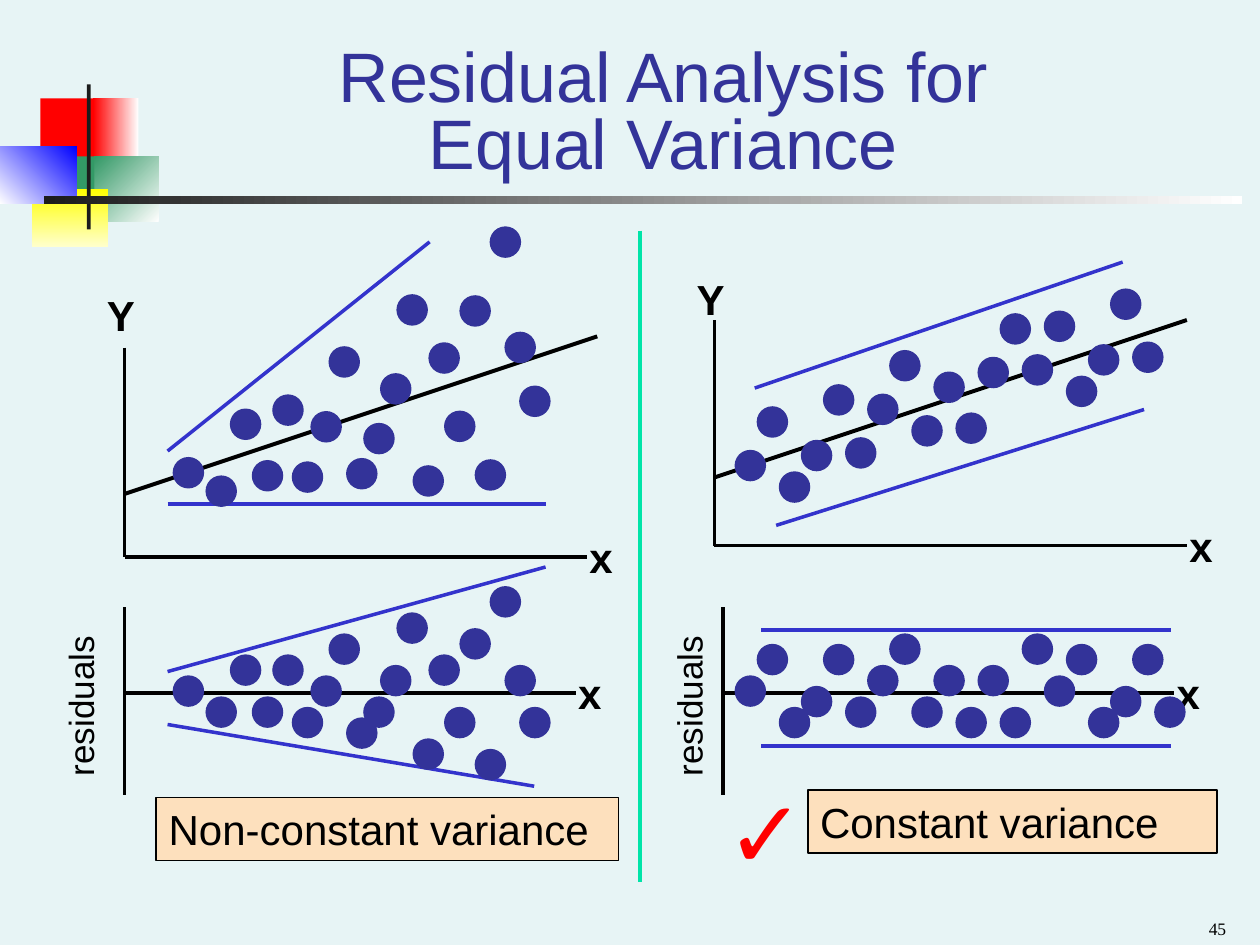
from dataclasses import dataclass

from lxml import etree
from pptx import Presentation
from pptx.dml.color import RGBColor
from pptx.enum import shapes, text
from pptx.oxml.ns import qn
from pptx.util import Inches, Pt

COLORS = {
    "background": "E7F4F5", "black": "000000", "white": "FFFFFF", "ink": "1C1C1C",
    "dot": "333399", "band": "3333CC", "divider": "00E4A8", "caption": "FDE0BD",
    "red": "FF0000", "green": "339966", "yellow": "FFFF00", "cream": "FFFFCC",
    "blue": "0000FF",
}
DOT = 0.25
UNIT = 1 / 12
SLOPE = 1 / 3
RESIDUAL_AXIS = 5.5


@dataclass(frozen=True)
class Block:
    box: tuple[float, float, float, float]
    color: str
    end: str = ""
    angle: int = 0


@dataclass(frozen=True)
class Panel:
    left: float
    base: float
    width: float
    height: float
    intercept: float
    label_gap: float
    residual_left: float
    residual_label: float
    first: float
    last: float
    power: float
    spread: float
    deviations: tuple[float, ...]
    skipped: int | None
    bands: tuple[tuple[float, float, float, float], ...]


BLOCKS = (
    Block((0.32, 0.78, 0.48, 0.52), "red"),
    Block((0.74, 0.78, 0.36, 0.52), "white", "red", 180),
    Block((0.75, 1.24, 0.51, 0.52), "white", "green", 225),
    Block((0.43, 1.24, 0.32, 0.52), "green"),
    Block((0.25, 1.5, 0.61, 0.46), "yellow", "cream", 90),
    Block((0, 1.16, 0.61, 0.46), "blue", "white", 135),
    Block((0.69, 0.67, 0.03, 1.15), "ink"),
    Block((0.35, 1.56, 9.51, 0.06), "white", "ink", 180),
)
EVEN_CYCLE = (0, -3, 3, 1, -3, 2, -1, -4, 2, -1, 3, -1, 3, -4)
PANELS = (
    Panel(left=0.99, base=4.42, width=3.67, height=1.66, intercept=3.92, label_gap=0.51,
          residual_left=0.99, residual_label=-0.08, first=1.37, last=4.12, power=0.8, spread=1.4,
          deviations=(0, 2, -2, 2, -2, 3, 0, -4, 4, 2, -1, -6, 6, -2, 3, -4.5, 7, -8.5, -1, 3),
          skipped=None,
          bands=((1.33, 3.58, 3.41, 1.92), (1.33, 4, 4.33, 4),
                 (1.33, 5.33, 4.33, 4.5), (1.33, 5.75, 4.24, 6.24))),
    Panel(left=5.67, base=4.33, width=3.75, height=1.79, intercept=3.79, label_gap=0.42,
          residual_left=5.74, residual_label=4.75, first=5.83, last=9.16, power=1, spread=1.15,
          deviations=EVEN_CYCLE + EVEN_CYCLE[:6], skipped=12,
          bands=((5.99, 3.08, 8.91, 2.08), (6.16, 4.17, 9.08, 3.25),
                 (6.04, 5, 9.29, 5), (6.04, 5.92, 9.29, 5.92))),
)


def rgb(name: str) -> RGBColor:
    """Look up a named colour."""
    return RGBColor.from_string(COLORS[name])


def add_filled(s, kind, box, color: str):
    """Draw a preset shape with a plain fill and no outline."""
    sp = s.shapes.add_shape(kind, *map(Inches, box))
    sp.shadow.inherit = False
    sp.fill.solid()
    sp.fill.fore_color.rgb = rgb(color)
    sp.line.fill.background()
    return sp


def add_block(s, block: Block) -> None:
    """Draw one plain or shaded block of the corner ornament."""
    sp = add_filled(s, shapes.MSO_SHAPE.RECTANGLE, block.box, block.color)
    if block.end:
        sp.fill.gradient()
        sp.fill.gradient_angle = 360 - block.angle
        for stop, position, color in zip(sp.fill.gradient_stops, (0, 1), (block.color, block.end)):
            stop.position = position
            stop.color.rgb = rgb(color)


def add_line(s, ends, color: str = "black", width: float = 2) -> None:
    """Draw a straight line without a shadow."""
    cxn = s.shapes.add_connector(shapes.MSO_CONNECTOR.STRAIGHT, *map(Inches, ends))
    cxn.line.color.rgb = rgb(color)
    cxn.line.width = Pt(width)
    etree.SubElement(cxn._element.spPr, qn("a:effectLst"))


def add_text(s, words: str, box, size=24, color="black", font="Arial", bold=False, align="LEFT",
             anchor="TOP", spacing=None, rotation=0, wrap=True, fill=None) -> None:
    """Write text in a plain box or in an outlined filled rectangle."""
    if fill:
        sp = add_filled(s, shapes.MSO_SHAPE.RECTANGLE, box, fill)
        sp.line.color.rgb = rgb("black")
        sp.line.width = Pt(1)
    else:
        sp = s.shapes.add_textbox(*map(Inches, box))
    sp.rotation = rotation
    tf = sp.text_frame
    tf.word_wrap = wrap
    tf.vertical_anchor = text.MSO_ANCHOR[anchor]
    p = tf.paragraphs[0]
    p.text = words
    p.alignment = text.PP_ALIGN[align]
    p.line_spacing = spacing
    for r in p.runs:
        r.font.name, r.font.size, r.font.bold = font, Pt(size), bold
        r.font.color.rgb = rgb(color)


def add_axes(s, left: float, top: float, bottom: float, base: float, width: float) -> None:
    """Draw both axes of a plot and the x at the end."""
    add_line(s, (left, top, left, bottom))
    add_line(s, (left, base, left + width, base))
    add_text(s, "x", (left + width - 0.08, base - 0.25, 0.51, 0.5), bold=True)


def add_dot(s, x: float, y: float) -> None:
    """Draw one observation."""
    add_filled(s, shapes.MSO_SHAPE.OVAL, (x, y, DOT, DOT), "dot")


def add_panel(s, panel: Panel) -> None:
    """Draw a scatter plot and the residual plot of the same observations."""
    left, top = panel.left, panel.base - panel.height
    add_axes(s, left, top, panel.base, panel.base, panel.width)
    add_axes(s, panel.residual_left, RESIDUAL_AXIS - 0.68, RESIDUAL_AXIS + 0.81,
             RESIDUAL_AXIS, 3.58)
    run = 3.75
    add_line(s, (left, panel.intercept, left + run, panel.intercept - run * SLOPE), width=2.25)
    for band in panel.bands:
        add_line(s, band, "band")

    steps = len(panel.deviations) - 1
    xs = [panel.first + (panel.last - panel.first) * (i / steps) ** panel.power
          for i in range(steps + 1)]
    for x, deviation in zip(xs, panel.deviations):
        add_dot(s, x, RESIDUAL_AXIS - 0.14 + deviation * UNIT)
    kept = [d for i, d in enumerate(panel.deviations) if i != panel.skipped]
    for x, deviation in zip(xs, kept):
        trend = panel.intercept - (x + DOT / 2 - left) * SLOPE
        add_dot(s, x, trend - DOT / 2 + deviation * panel.spread * UNIT)

    add_text(s, "Y", (left - 0.24, top - panel.label_gap, 0.42, 0.5), bold=True, wrap=False)
    add_text(s, "residuals", (panel.residual_label, 5.33, 1.43, 0.43), size=20, rotation=270)


def main() -> None:
    """Build and save the residual analysis slide."""
    prs = Presentation()
    prs.slide_width, prs.slide_height = Inches(10), Inches(7.5)
    s = prs.slides.add_slide(prs.slide_layouts[6])
    s.background.fill.solid()
    s.background.fill.fore_color.rgb = rgb("background")
    for block in BLOCKS:
        add_block(s, block)
    add_text(s, "Residual Analysis for \vEqual Variance ", (1.08, 0.33, 8.52, 1.17), size=40,
             color="dot", align="CENTER", anchor="BOTTOM", spacing=0.8)
    add_text(s, "Non-constant variance", (1.24, 6.33, 3.67, 0.5), fill="caption")
    add_text(s, "✓", (5.67, 6.09, 1, 1), size=54, color="red")
    add_text(s, "Constant variance", (6.41, 6.27, 3.25, 0.5), fill="caption")
    for panel in PANELS:
        add_panel(s, panel)
    add_line(s, (5.08, 1.83, 5.08, 7), "divider", 2.25)
    add_text(s, "45", (7.5, 7.15, 2.33, 0.35), size=10, font="Times New Roman",
             align="RIGHT", anchor="BOTTOM")
    prs.save("out.pptx")


if __name__ == "__main__":
    main()
